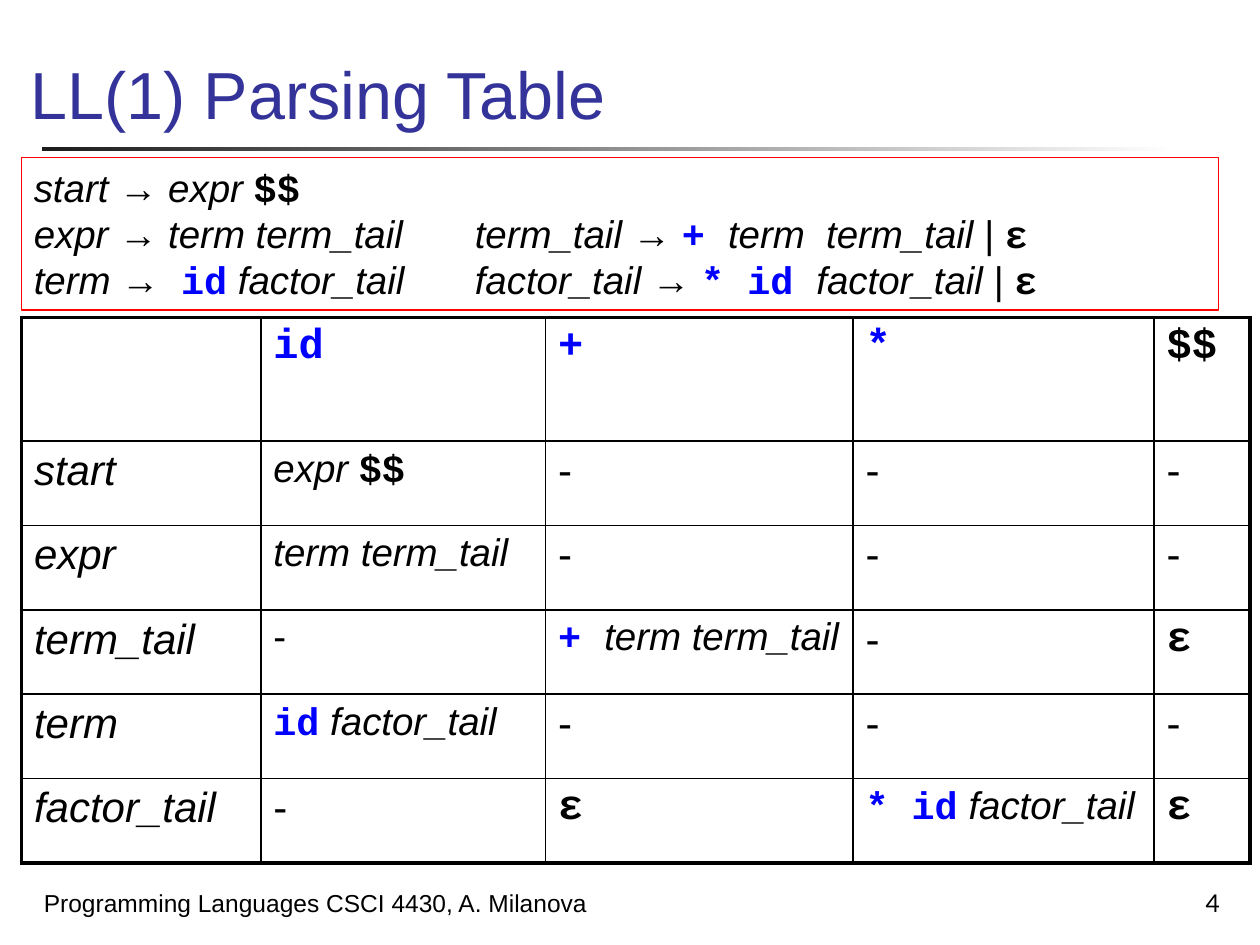
from lxml.etree import SubElement
from pptx import Presentation
from pptx.dml.color import RGBColor
from pptx.enum.shapes import MSO_SHAPE
from pptx.enum.text import MSO_ANCHOR, PP_ALIGN
from pptx.oxml.ns import qn
from pptx.util import Inches, Pt

BLACK, BLUE, TITLE_BLUE, RED = "000000", "0000FF", "333399", "FF0000"

# Style name: (font, colour, bold, italic)
STYLES = {
    "plain": ("Arial", BLACK, False, False),
    "title": ("Arial", TITLE_BLUE, False, False),
    "number": ("Lato", BLACK, False, False),
    "rule": ("Arial", BLACK, False, True),
    "token": ("Courier New", BLUE, True, False),
    "end": ("Courier New", BLACK, True, False),
}

GRAMMAR = [
    [("start → expr ", "rule"), ("$$", "end")],
    [("expr → term term_tail\t\tterm_tail → ", "rule"), ("+ ", "token"),
     ("term  term_tail ", "rule"), ("| ", "plain"), ("ε", "end")],
    [("term →  ", "rule"), ("id", "token"),
     (" factor_tail\t\tfactor_tail → ", "rule"), ("* id ", "token"),
     ("factor_tail ", "rule"), ("| ", "plain"), ("ε", "end")],
]

# Each cell: (text size, runs)
NONE = (24, [("-", "plain")])
EPSILON = (24, [("ε", "end")])
HEADER = [(24, []), (24, [("id", "token")]), (24, [("+", "token")]),
          (24, [("*", "token")]), (24, [("$$", "end")])]
PRODUCTIONS = {
    "start": [(22, [("expr ", "rule"), ("$$", "end")]), NONE, NONE, NONE],
    "expr": [(22, [("term term_tail", "rule")]), NONE, NONE, NONE],
    "term_tail": [(22, [("-", "plain")]),
                  (22, [("+ ", "token"), ("term term_tail", "rule")]), NONE, EPSILON],
    "term": [(22, [("id", "token"), (" factor_tail", "rule")]), NONE, NONE, NONE],
    "factor_tail": [NONE, EPSILON,
                    (22, [("* id", "token"), (" factor_tail", "rule")]), EPSILON],
}
COLUMN_WIDTHS = [1.9, 2.26, 2.44, 2.39, 0.76]
ROW_HEIGHTS = [0.98] + [0.67] * len(PRODUCTIONS)


def color(hex_string):
    return RGBColor.from_string(hex_string)


def add_runs(para, runs, size):
    for text, style in runs:
        span = para.add_run()
        span.text = text
        font = span.font
        font.size = Pt(size)
        font.name, ink, font.bold, font.italic = STYLES[style]
        font.color.rgb = color(ink)


def add_text(page, place, lines, size, anchor=MSO_ANCHOR.BOTTOM, align=PP_ALIGN.LEFT):
    box = page.shapes.add_textbox(*map(Inches, place))
    frame = box.text_frame
    frame.word_wrap = True
    frame.vertical_anchor = anchor
    for index, runs in enumerate(lines):
        para = frame.add_paragraph() if index else frame.paragraphs[0]
        para.alignment = align
        add_runs(para, runs, size)
    return box


def add_border(cell, side, width):
    """Draw one black edge; side is L, R, T or B."""
    line = SubElement(cell._tc.get_or_add_tcPr(), qn(f"a:ln{side}"), w=str(Pt(width)))
    SubElement(SubElement(line, qn("a:solidFill")), qn("a:srgbClr"), val=BLACK)


def add_title_rule(page):
    bar = page.shapes.add_shape(MSO_SHAPE.RECTANGLE, Inches(0.33), Inches(1.17),
                                Inches(9), Inches(0.03))
    bar.shadow.inherit = False
    bar.line.fill.background()
    bar.fill.gradient()
    bar.fill.gradient_angle = 0
    for stop, shade in zip(bar.fill.gradient_stops, ("1C1C1C", "FFFFFF")):
        stop.color.rgb = color(shade)


def add_parsing_table(page):
    rows = [HEADER] + [[(24, [(name, "rule")])] + cells
                       for name, cells in PRODUCTIONS.items()]
    last_row, last_column = len(rows) - 1, len(COLUMN_WIDTHS) - 1
    table = page.shapes.add_table(
        len(rows), len(COLUMN_WIDTHS), Inches(0.17), Inches(2.52),
        Inches(sum(COLUMN_WIDTHS)), Inches(sum(ROW_HEIGHTS))).table
    table.first_row = table.horz_banding = False
    for column, width in zip(table.columns, COLUMN_WIDTHS):
        column.width = Inches(width)
    for r, cells in enumerate(rows):
        table.rows[r].height = Inches(ROW_HEIGHTS[r])
        for c, (size, runs) in enumerate(cells):
            cell = table.cell(r, c)
            add_runs(cell.text_frame.paragraphs[0], runs, size)
            outer = {"L": c == 0, "R": c == last_column, "T": r == 0, "B": r == last_row}
            for side, is_outer in outer.items():
                add_border(cell, side, 2.25 if is_outer else 1)
            cell.fill.background()


def main():
    deck = Presentation()
    deck.slide_width, deck.slide_height = Inches(10), Inches(7.5)
    page = deck.slides.add_slide(deck.slide_layouts[6])

    add_title_rule(page)
    add_text(page, (7.7, 6.83, 2.08, 0.5), [[("4", "number")]], 14, align=PP_ALIGN.RIGHT)
    add_text(page, (0.14, 0, 9.52, 1.1), [[("LL(1) Parsing Table", "title")]], 38)
    add_parsing_table(page)
    grammar_box = add_text(page, (0.17, 1.25, 9.5, 1.21), GRAMMAR, 22, MSO_ANCHOR.TOP)
    grammar_box.line.color.rgb = color(RED)
    grammar_box.line.width = Pt(0.75)
    add_text(page, (0.25, 6.83, 5.17, 0.5),
             [[("Programming Languages CSCI 4430, A. Milanova", "plain")]], 14)

    deck.save("out.pptx")


if __name__ == "__main__":
    main()
